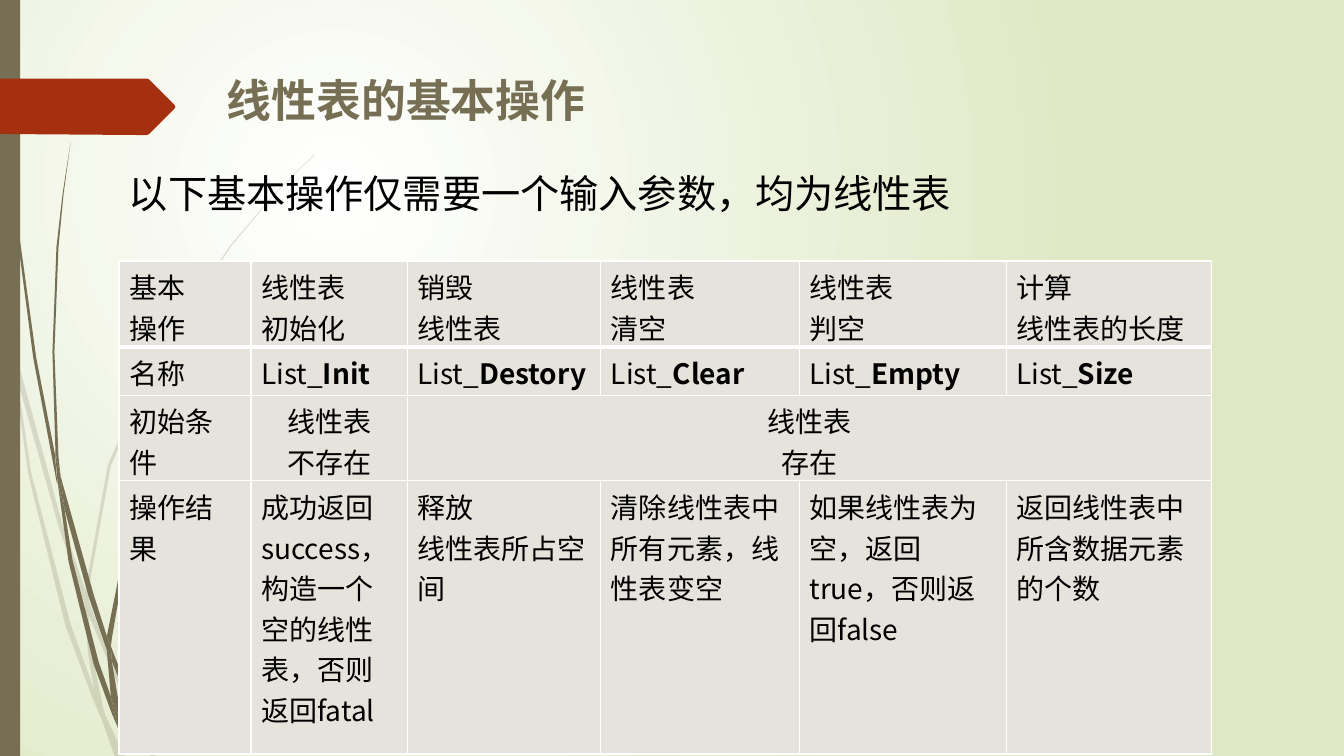
from lxml import etree
from pptx import Presentation
from pptx.dml.color import RGBColor
from pptx.enum.shapes import MSO_SHAPE
from pptx.enum.text import MSO_ANCHOR, PP_ALIGN
from pptx.oxml.ns import qn
from pptx.util import Pt

PX = 9144
FONT = "Noto Sans CJK SC"
RECT = MSO_SHAPE.RECTANGLE
TOP, MIDDLE, BOTTOM = MSO_ANCHOR.TOP, MSO_ANCHOR.MIDDLE, MSO_ANCHOR.BOTTOM
LEFT, CENTER = PP_ALIGN.LEFT, PP_ALIGN.CENTER
OLIVE, RUST, STONE, WHITE, BLACK = "766F54", "A53010", "E5E3DB", "FFFFFF", "000000"

PALE_GRASS = [
    "11 350 9 322 0 282 0 299 10 344",
    "58 522 84 599 85 586 62 520 14 345 17 376",
    "92 607 88 596 88 610 123 694 150 751 155 751 127 692",
    "119 751 124 751 105 711",
    "93 683 70 619 31 469 17 376 11 350 28 470 65 621 92 693 101 714 99 707",
    "84 599 87 646 93 683 96 692 105 711 103 706 91 646 88 610 88 608",
    "88 584 110 462 160 349 229 245 268 198 290 175 312 154 312 153 289 175 "
    "268 197 228 244 158 348 107 461 85 584 85 586 88 596",
    "101 714 114 751 119 751",
    "88 608 88 610 88 596 85 586 84 599",
    "96 692 93 683 99 707 101 714 119 751 105 711",
]
DARK_GRASS = [
    "7 110 17 233 33 355 56 477 57 481 55 457 55 453 36 355 19 232 8 109 5 48 4 0 3 0 4 48",
    "88 592 106 645 106 633 106 631 93 590 60 472 64 505",
    "113 649 110 641 111 656 132 708 152 749 157 749 136 706",
    "110 691 98 657 72 556 64 505 57 477 68 557 93 659 111 708 117 722 116 717",
    "60 472 58 453 54 349 58 245 63 193 70 141 62 193 56 245 52 349 55 449",
    "133 749 136 749 122 719",
    "57 477 64 505 60 472 55 449 55 453",
    "111 633 125 552 158 476 205 406 231 374 245 359 261 344 260 344 245 358 "
    "231 373 204 405 156 474 122 551 106 631 110 641",
    "117 722 127 749 131 749",
    "106 645 110 691 116 706 122 719 121 716 111 656 109 651",
    "106 645 109 651 111 656 110 641 106 631 106 633",
    "116 706 110 691 116 717 117 722 130 749 133 749 122 719",
]
ARROW = "0 78 146 78 148 79 173 104 174 106 173 108 148 133 146 134 136 134 0 133"

COLUMNS = [131, 155, 192, 197, 205, 204]
ROWS = [85, 48, 85, 271]
CELLS = [
    ["基本\n操作", "线性表\n初始化", "销毁\n线性表", "线性表\n清空", "线性表\n判空", "计算\n线性表的长度"],
    ["名称", "List_*Init", "List_*Destory", "List_*Clear", "List_*Empty", "List_*Size"],
    ["初始条件", "线性表\n不存在", "线性表\n存在"],
    ["操作结果", "成功返回success，构造一个空的线性表，否则返回fatal", "释放\n线性表所占空间",
     "清除线性表中所有元素，线性表变空", "如果线性表为空，返回true，否则返回false",
     "返回线性表中所含数据元素的个数"],
]


def rgb(color):
    return RGBColor.from_string(color)


def paint(shape, color, alpha=100):
    shape.shadow.inherit = False
    shape.line.fill.background()
    shape.fill.solid()
    shape.fill.fore_color.rgb = rgb(color)
    if alpha < 100:
        clr = shape.element.spPr.find(".//" + qn("a:srgbClr"))
        etree.SubElement(clr, qn("a:alpha"), val=str(alpha * 1000))


def write(tf, text, size=20, color=BLACK, bold=False, align=LEFT):
    for i, line in enumerate(text.split("\n")):
        p = tf.add_paragraph() if i else tf.paragraphs[0]
        p.alignment = align
        for j, part in enumerate(line.split("*")):
            r = p.add_run()
            r.text = part
            r.font.size = Pt(size)
            r.font.bold = bold or j == 1
            r.font.name = FONT
            r.font.color.rgb = rgb(color)
            latin = r.font._element.find(qn("a:latin"))
            latin.addnext(latin.makeelement(qn("a:ea"), typeface=FONT))


def text_box(s, box, text, anchor=TOP, **fmt):
    tf = s.shapes.add_textbox(*(v * PX for v in box)).text_frame
    tf.word_wrap = True
    tf.vertical_anchor = anchor
    if anchor == BOTTOM:
        tf.margin_bottom = 0
    write(tf, text, **fmt)


def outline(shapes, data, color, alpha=100):
    nums = [int(v) * PX for v in data.split()]
    points = list(zip(nums[::2], nums[1::2]))
    builder = shapes.build_freeform(*points[0])
    builder.add_line_segments(points[1:])
    paint(builder.convert_to_shape(), color, alpha)


def grass(s, blades, alpha=100):
    group = s.shapes.add_group_shape()
    for blade in blades:
        outline(group.shapes, blade, OLIVE, alpha)


def background(s):
    fill = s.background.fill
    fill.gradient()
    for stop, color, position in zip(fill.gradient_stops, (WHITE, "DFE8C4"), (0, 1)):
        stop.color.rgb = rgb(color)
        stop.position = position
    grad = s.element.find(".//" + qn("a:gradFill"))
    grad.remove(grad.find(qn("a:lin")))
    circle = etree.SubElement(grad, qn("a:path"), path="circle")
    etree.SubElement(circle, qn("a:fillToRect"), l="50000", t="50000", r="100000", b="100000")


def borders(cell, bottom):
    tcPr = cell._tc.get_or_add_tcPr()
    for i, (side, width) in enumerate(zip("LRTB", (1, 1, 1, bottom))):
        ln = tcPr.makeelement(qn("a:ln" + side), w=str(Pt(width)))
        fill = etree.SubElement(ln, qn("a:solidFill"))
        etree.SubElement(fill, qn("a:srgbClr"), val=WHITE)
        tcPr.insert(i, ln)


def operations_table(s):
    frame = s.shapes.add_table(len(ROWS), len(COLUMNS), 118 * PX, 259 * PX,
                               sum(COLUMNS) * PX, sum(ROWS) * PX)
    table = frame.table
    table.first_row = table.horz_banding = False
    for column, width in zip(table.columns, COLUMNS):
        column.width = width * PX
    for i, (row, height) in enumerate(zip(table.rows, ROWS)):
        row.height = height * PX
        for cell in row.cells:
            cell.margin_bottom = 0
            cell.fill.solid()
            cell.fill.fore_color.rgb = rgb(STONE)
            borders(cell, 1 if i else 3)
    table.cell(2, 2).merge(table.cell(2, 5))
    table.cell(2, 2).vertical_anchor = MIDDLE
    for i, texts in enumerate(CELLS):
        for j, text in enumerate(texts):
            align = CENTER if i == 2 and j else LEFT
            write(table.cell(i, j).text_frame, text, align=align)


def main():
    prs = Presentation()
    prs.slide_width, prs.slide_height = 1333 * PX, 750 * PX
    s = prs.slides.add_slide(prs.slide_layouts[6])
    background(s)
    grass(s, PALE_GRASS, alpha=20)
    grass(s, DARK_GRASS)
    paint(s.shapes.add_shape(RECT, 0, 0, 20 * PX, 750 * PX), OLIVE)
    outline(s.shapes, ARROW, RUST)
    text_box(s, (215, 67, 425, 88), "线性表的基本操作", size=32, color=OLIVE, bold=True)
    text_box(s, (118, 111, 1141, 104), "以下基本操作仅需要一个输入参数，均为线性表", anchor=BOTTOM, size=28)
    operations_table(s)
    prs.save("out.pptx")


if __name__ == "__main__":
    main()
